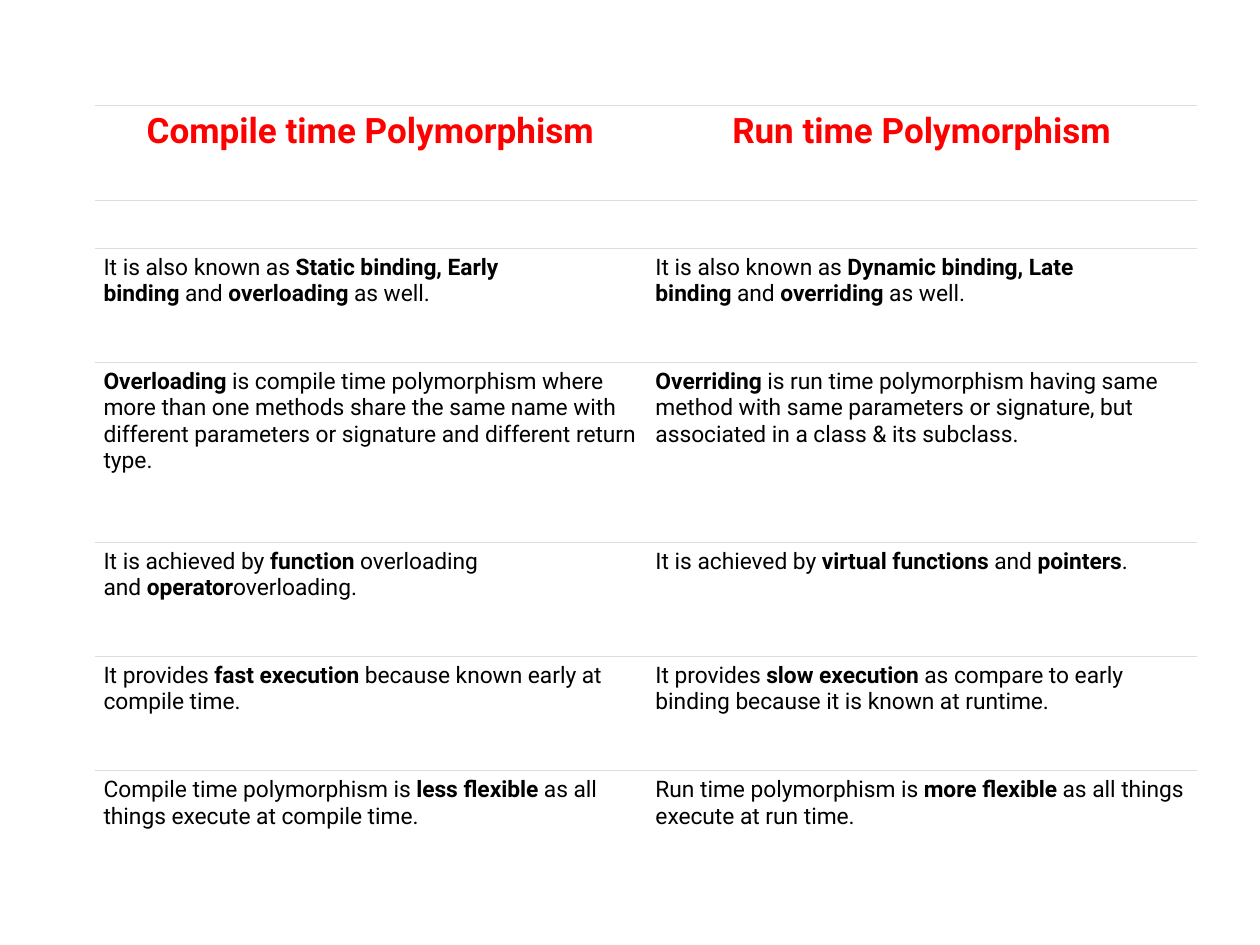
from pptx import Presentation
from pptx.util import Pt
from pptx.dml.color import RGBColor
from pptx.enum.text import PP_ALIGN
from pptx.oxml import parse_xml
from pptx.oxml.ns import nsdecls

RED = RGBColor(255, 0, 0)
BLACK = RGBColor(0, 0, 0)
WHITE = RGBColor(255, 255, 255)
GREY = RGBColor(221, 221, 221)

HEADS = ["Compile time Polymorphism", "Run time Polymorphism"]
ROWS = [
    ("It is also known as~*Static binding, Early binding*~and~*overloading*~as well.",
     "It is also known as~*Dynamic binding, Late binding*~and~*overriding*~as well."),
    ("*Overloading*~is compile time polymorphism where more than one methods share "
     "the same name with different parameters or signature and different return type.",
     "*Overriding*~is run time polymorphism having same method with same parameters "
     "or signature, but associated in a class & its subclass."),
    ("It is achieved by~*function*~overloading and~*operator*overloading.",
     "It is achieved by~*virtual functions*~and~*pointers*."),
    ("It provides~*fast~execution*~because known early at compile time.",
     "It provides~*slow~execution*~as compare to early binding because it is known at runtime."),
    ("Compile time polymorphism is~*less flexible*~as all things execute at compile time.",
     "Run time polymorphism is~*more flexible*~as all things execute at run time."),
]
WIDTHS = [315.4, 314.6]
HEIGHTS = [54.4, 18.7, 65.2, 102.8, 65.2, 65.2, 65.2]


def add_edge(cell, side, shown):
    fill = f'<a:solidFill><a:srgbClr val="{GREY}"/></a:solidFill>' if shown else "<a:noFill/>"
    line = parse_xml(f'<a:{side} {nsdecls("a")} w="4318">{fill}</a:{side}>')
    cell._tc.get_or_add_tcPr().append(line)


def add_text(cell, text, size, color):
    para = cell.text_frame.paragraphs[0]
    for i, part in enumerate(text.split("*")):
        if part:
            run = para.add_run()
            run.text = part.replace("~", chr(160))
            run.font.name = "Roboto"
            run.font.size = Pt(size)
            run.font.bold = i % 2 == 1
            run.font.color.rgb = color
    return para


prs = Presentation()
prs.slide_width = Pt(720)
prs.slide_height = Pt(540)
slide = prs.slides.add_slide(prs.slide_layouts[6])

frame = slide.shapes.add_table(len(HEIGHTS), 2, Pt(54), Pt(60), Pt(630), Pt(sum(HEIGHTS)))
table = frame.table
table.first_row = False
table.horz_banding = False
for col, width in zip(table.columns, WIDTHS):
    col.width = Pt(width)
for row, height in zip(table.rows, HEIGHTS):
    row.height = Pt(height)

last = len(HEIGHTS) - 1
for r in range(len(HEIGHTS)):
    for c in range(2):
        cell = table.cell(r, c)
        cell.margin_left = cell.margin_right = Pt(5.2)
        cell.margin_top = cell.margin_bottom = Pt(2.7 if r == 1 else 3.6)
        for side in ("lnL", "lnR", "lnT", "lnB"):
            add_edge(cell, side, side == "lnT" or side == "lnB" and r < last)
        cell.fill.solid()
        cell.fill.fore_color.rgb = WHITE
        if r == 0:
            add_text(cell, f"*{HEADS[c]}*", 20, RED).alignment = PP_ALIGN.CENTER
        elif r > 1:
            add_text(cell, ROWS[r - 2][c], 13, BLACK)

prs.save("out.pptx")
